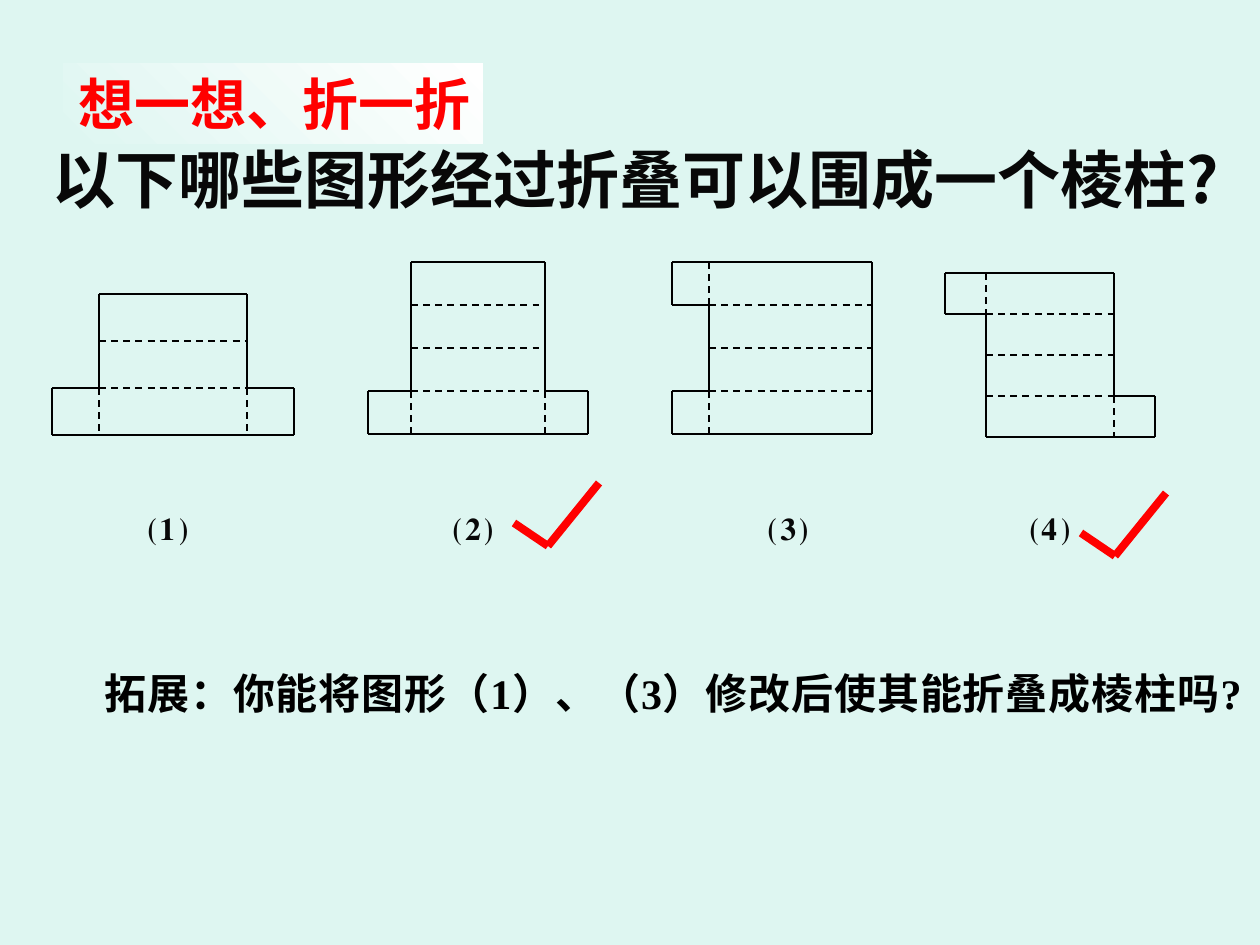
from dataclasses import dataclass

from lxml import etree
from pptx import Presentation
from pptx import util as u
from pptx.dml.color import RGBColor
from pptx.enum import dml, shapes, text
from pptx.oxml import ns

SCALE = 914400 / 126


@dataclass(frozen=True)
class Theme:
    background: str = "DEF6F1"
    ink: str = "000000"
    heading: str = "080808"
    accent: str = "FF0000"
    white: str = "FFFFFF"
    chinese_font: str = "Noto Sans CJK SC"
    body_font: str = "Times New Roman"
    title_size: int = 36
    badge_size: int = 32
    body_size: int = 24
    net_line: float = 1
    tick_line: float = 4.5


@dataclass(frozen=True)
class Box:
    left: int
    top: int
    width: int
    height: int


@dataclass(frozen=True)
class Net:
    left: int
    right: int
    top: int
    row: int
    rows: int
    tab: int
    left_tabs: tuple[int, ...]
    right_tabs: tuple[int, ...]


@dataclass(frozen=True)
class Label:
    wording: str
    left: int
    width: int


THEME = Theme()
NETS = (
    Net(99, 247, 294, 47, 3, 47, (2,), (2,)),
    Net(411, 545, 262, 43, 4, 43, (3,), (3,)),
    Net(709, 872, 262, 43, 4, 37, (0, 3), ()),
    Net(986, 1114, 273, 41, 4, 41, (0,), (3,)),
)
LABELS = (
    Label("⑴", 136, 84),
    Label("⑵", 441, 105),
    Label("⑶", 756, 84),
    Label("⑷", 1018, 94),
)
TICKS = ((514, 523), (1081, 533))


def px(length: int) -> u.Emu:
    return u.Emu(round(length * SCALE))


def colour(value: str) -> RGBColor:
    return RGBColor.from_string(value)


def place(shape, box: Box) -> None:
    shape.left, shape.top = px(box.left), px(box.top)
    shape.width, shape.height = px(box.width), px(box.height)


def write(shape, wording: str, font: str, size: int, ink: str,
          alignment=text.PP_ALIGN.LEFT, anchor=text.MSO_ANCHOR.TOP,
          east_asian_font: str = THEME.chinese_font):
    frame = shape.text_frame
    frame.word_wrap = True
    frame.auto_size = text.MSO_AUTO_SIZE.NONE
    frame.vertical_anchor = anchor
    paragraph = frame.paragraphs[0]
    paragraph.alignment = alignment
    run = paragraph.add_run()
    run.text = wording
    run.font.name = font
    run.font.size = u.Pt(size)
    run.font.bold = True
    run.font.color.rgb = colour(ink)
    east_asian = etree.SubElement(run.font._element, ns.qn("a:ea"))
    east_asian.set("typeface", east_asian_font)
    return paragraph


def add_line(group, start: tuple[int, int], end: tuple[int, int],
             ink: str, width: float, dashed: bool = False) -> None:
    line = group.shapes.add_connector(
        shapes.MSO_CONNECTOR.STRAIGHT, px(start[0]), px(start[1]), px(end[0]), px(end[1]))
    line.line.color.rgb = colour(ink)
    line.line.width = u.Pt(width)
    if dashed:
        line.line.dash_style = dml.MSO_LINE.DASH
    etree.SubElement(line._element.spPr, ns.qn("a:effectLst"))


def add_net(slide, net: Net) -> None:
    group = slide.shapes.add_group_shape()

    def edge(start: tuple[int, int], end: tuple[int, int], dashed: bool = False) -> None:
        add_line(group, start, end, THEME.ink, THEME.net_line, dashed)

    for index in range(net.rows + 1):
        y = net.top + index * net.row
        edge((net.left, y), (net.right, y), 0 < index < net.rows)

    sides = ((net.left, -net.tab, net.left_tabs), (net.right, net.tab, net.right_tabs))
    for x, reach, tabs in sides:
        for index in range(net.rows):
            upper = net.top + index * net.row
            lower = upper + net.row
            edge((x, upper), (x, lower), index in tabs)
            if index in tabs:
                edge((x, upper), (x + reach, upper))
                edge((x + reach, upper), (x + reach, lower))
                edge((x, lower), (x + reach, lower))


def add_label(slide, label: Label) -> None:
    shape = slide.shapes.add_textbox(0, 0, 0, 0)
    place(shape, Box(label.left, 492, label.width, 63))
    write(shape, label.wording, THEME.body_font, THEME.body_size, THEME.heading,
          east_asian_font=THEME.body_font)


def add_tick(slide, left: int, top: int) -> None:
    group = slide.shapes.add_group_shape()
    corner = (left + 34, top + 23)
    for start, end in (((left, top), corner), (corner, (left + 85, top - 40))):
        add_line(group, start, end, THEME.accent, THEME.tick_line)


def add_title(slide) -> None:
    title = slide.shapes.title
    place(title, Box(-52, 95, 1312, 157))
    write(title, "以下哪些图形经过折叠可以围成一个棱柱?", THEME.chinese_font,
          THEME.title_size, THEME.heading, text.PP_ALIGN.RIGHT, text.MSO_ANCHOR.MIDDLE)
    title.text_frame.margin_right = px(41)
    title.text_frame.margin_top = px(16)


def add_extension(slide) -> None:
    shape = slide.shapes.add_textbox(0, 0, 0, 0)
    place(shape, Box(32, 661, 1228, 63))
    paragraph = write(shape, "拓展：你能将图形（1）、（3）修改后使其能折叠成棱柱吗?",
                      THEME.body_font, THEME.body_size, THEME.ink, text.PP_ALIGN.JUSTIFY)
    paragraph._p.get_or_add_pPr().set("indent", str(px(60)))
    paragraph.runs[0].font._element.set("spc", "50")


def add_badge(slide) -> None:
    badge = slide.shapes.add_shape(shapes.MSO_SHAPE.RECTANGLE, 0, 0, 0, 0)
    place(badge, Box(63, 63, 420, 81))
    badge.shadow.inherit = False
    badge.line.fill.background()
    badge.fill.gradient()
    badge.fill.gradient_angle = 225
    for stop, shade in zip(badge.fill.gradient_stops, (THEME.white, THEME.background)):
        stop.color.rgb = colour(shade)
    write(badge, "想一想、折一折", THEME.body_font, THEME.badge_size,
          THEME.accent, text.PP_ALIGN.RIGHT)


def main() -> None:
    presentation = Presentation()
    presentation.slide_width, presentation.slide_height = px(1260), px(945)
    slide = presentation.slides.add_slide(presentation.slide_layouts[5])
    slide.background.fill.solid()
    slide.background.fill.fore_color.rgb = colour(THEME.background)

    add_title(slide)
    for net in NETS:
        add_net(slide, net)
    for label in LABELS:
        add_label(slide, label)
    for left, top in TICKS:
        add_tick(slide, left, top)
    add_extension(slide)
    add_badge(slide)
    presentation.save("out.pptx")


if __name__ == "__main__":
    main()
